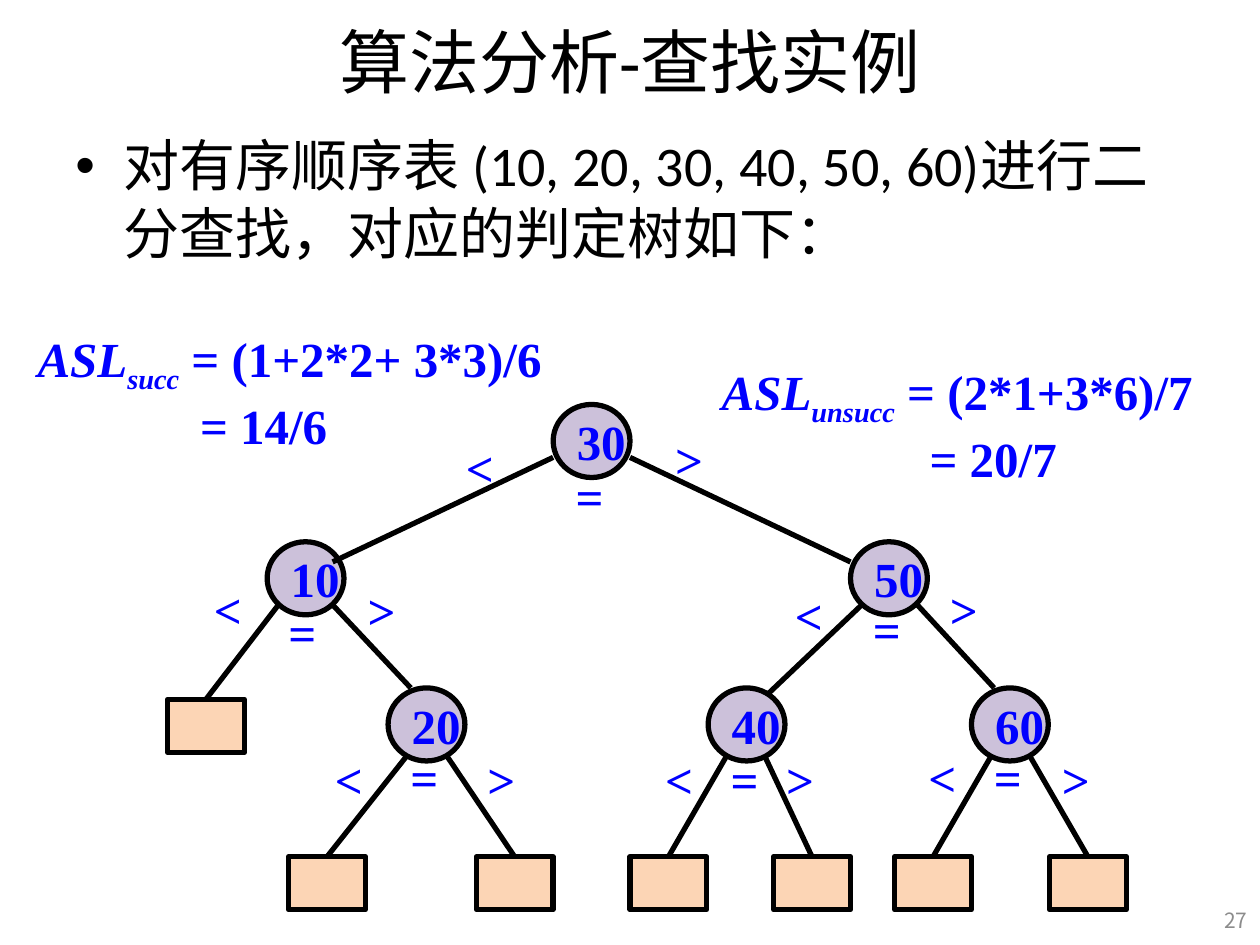
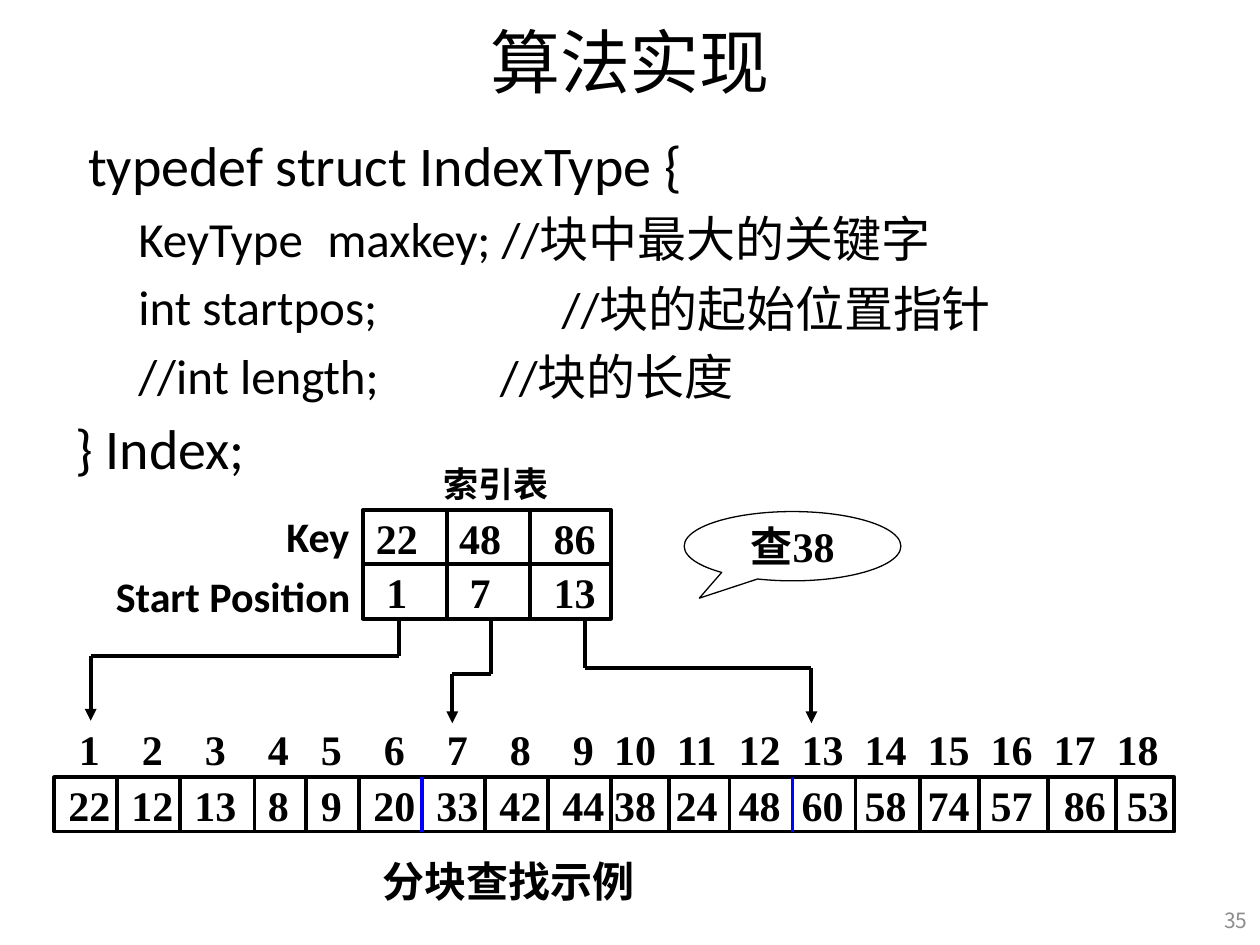
"""Build two lecture slides on binary search and indexed block search."""
from lxml import etree
from pptx import Presentation
from pptx.dml.color import RGBColor
from pptx.enum.shapes import MSO_CONNECTOR, MSO_SHAPE
from pptx.enum.text import MSO_ANCHOR, PP_ALIGN
from pptx.oxml.ns import qn
from pptx.util import Inches, Pt

BLACK, BLUE, GREY = "000000", "0000FF", "8C8C8C"
NODE_FILL, LEAF_FILL = "CCC1DA", "FCD5B5"
SANS, SERIF, CHINESE = "Calibri", "Times New Roman", "Noto Sans CJK SC"
color = RGBColor.from_string


def write(frame, text, size, font=SERIF, ink=BLACK, bold=True,
          align=PP_ALIGN.LEFT, anchor=MSO_ANCHOR.TOP, wrap=False):
    """Fill a text frame and format all of its runs."""
    frame.text = text
    frame.word_wrap = wrap
    frame.vertical_anchor = anchor
    for para in frame.paragraphs:
        para.alignment = align
        for span in para.runs:
            span.font.size = Pt(size)
            span.font.name = font
            span.font.bold = bold
            span.font.color.rgb = color(ink)
            east_asian = etree.SubElement(span.font._element, qn("a:ea"))
            east_asian.set("typeface", CHINESE)


def draw_line(page, start, end, width, ink=BLACK, arrow=False):
    """Draw a straight line, with an arrowhead at its end if asked."""
    line = page.shapes.add_connector(
        MSO_CONNECTOR.STRAIGHT, *map(Inches, start + end))
    line.line.color.rgb = color(ink)
    line.line.width = Pt(width)
    if arrow:
        etree.SubElement(line.line._get_or_add_ln(), qn("a:tailEnd"), type="triangle")
    etree.SubElement(line._element.spPr, qn("a:effectLst"))
    return line


deck = Presentation()
deck.slide_width, deck.slide_height = Inches(10), Inches(7.5)

pages = []
for title, number in (("算法分析-查找实例", "27"), ("算法实现", "35")):
    page = deck.slides.add_slide(deck.slide_layouts[6])
    box = page.shapes.add_textbox(Inches(0.5), Inches(-0.03), Inches(9), Inches(1.02))
    write(box.text_frame, title, 40, SANS, bold=False, align=PP_ALIGN.CENTER,
          anchor=MSO_ANCHOR.MIDDLE, wrap=True)
    box = page.shapes.add_textbox(Inches(9.57), Inches(7.1), Inches(0.43), Inches(0.4))
    write(box.text_frame, number, 12, CHINESE, GREY, False, PP_ALIGN.RIGHT,
          MSO_ANCHOR.MIDDLE)
    pages.append(page)
tree_page, index_page = pages

box = tree_page.shapes.add_textbox(Inches(0.5), Inches(0.99), Inches(9), Inches(6.38))
write(box.text_frame, "对有序顺序表 (10, 20, 30, 40, 50, 60)进行二分查找，对应的判定树如下：",
      32, SANS, bold=False, wrap=True)
properties = box.text_frame.paragraphs[0]._p.get_or_add_pPr()
properties.set("marL", str(Inches(0.38)))
properties.set("indent", str(Inches(-0.38)))
etree.SubElement(properties, qn("a:buFont"), typeface="Arial")
etree.SubElement(properties, qn("a:buChar"), char="•")

leaves = []
for left, top in ((1.33, 5.55), (2.29, 6.8), (3.78, 6.8), (5, 6.8),
                  (6.14, 6.8), (7.1, 6.8), (8.33, 6.8)):
    leaf = tree_page.shapes.add_shape(
        MSO_SHAPE.RECTANGLE, Inches(left), Inches(top), Inches(0.61), Inches(0.42))
    leaf.shadow.inherit = False
    leaf.fill.solid()
    leaf.fill.fore_color.rgb = color(LEAF_FILL)
    leaf.line.color.rgb = color(BLACK)
    leaf.line.width = Pt(3)
    leaves.append(leaf)

leaf_starts = ((2.21, 4.8), (3.26, 5.96), (3.52, 5.96), (5.79, 5.96),
               (6.05, 5.96), (7.89, 5.96), (8.15, 5.96))
for start, leaf in zip(leaf_starts, leaves):
    draw_line(tree_page, start, start, 3).end_connect(leaf, 0)

lower_branches = (((2.64, 4.8), (3.26, 5.46)), ((6.84, 4.8), (6.05, 5.55)),
                  ((7.28, 4.8), (7.89, 5.46)))
for start, end in lower_branches:
    draw_line(tree_page, start, end, 3)

nodes = {"30": (4.39, 3.21), "10": (2.12, 4.3), "50": (6.75, 4.3),
         "20": (3.08, 5.46), "40": (5.62, 5.46), "60": (7.71, 5.46)}
for key, (left, top) in nodes.items():
    node = tree_page.shapes.add_shape(
        MSO_SHAPE.OVAL, Inches(left), Inches(top), Inches(0.61), Inches(0.58))
    node.shadow.inherit = False
    node.fill.solid()
    node.fill.fore_color.rgb = color(NODE_FILL)
    node.line.color.rgb = color(BLACK)
    node.line.width = Pt(3)
    write(node.text_frame, key, 28, ink=BLUE, anchor=MSO_ANCHOR.MIDDLE)

for start, end in (((4.39, 3.63), (2.64, 4.46)), ((5, 3.63), (6.75, 4.46))):
    draw_line(tree_page, start, end, 3)

comparisons = {
    "=": ((4.47, 3.65), (2.19, 4.73), (6.83, 4.71), (3.16, 5.88), (5.7, 5.9), (7.79, 5.88)),
    "<": ((3.6, 3.42), (1.6, 4.55), (6.21, 4.6), (2.56, 5.9), (5.18, 5.9), (7.27, 5.88)),
    ">": ((5.26, 3.36), (2.82, 4.56), (7.44, 4.55), (3.77, 5.9), (6.14, 5.9), (8.33, 5.9)),
}
for sign, places in comparisons.items():
    for left, top in places:
        box = tree_page.shapes.add_textbox(
            Inches(left), Inches(top), Inches(0.44), Inches(0.57))
        write(box.text_frame, sign, 28, ink=BLUE)

formulas = ((0.2, 2.56, 4.46, "succ", " = (1+2*2+ 3*3)/6", "= 14/6", 1.29),
            (5.63, 2.82, 4.06, "unsucc", " = (2*1+3*6)/7", "= 20/7", 1.65))
for left, top, width, subscript, expression, result, indent in formulas:
    box = tree_page.shapes.add_textbox(
        Inches(left), Inches(top), Inches(width), Inches(1.03))
    frame = box.text_frame
    frame.word_wrap = True
    first, second = frame.paragraphs[0], frame.add_paragraph()
    second._p.get_or_add_pPr().set("marL", str(Inches(indent)))
    for para, text in ((first, "ASL"), (first, subscript), (first, expression),
                       (second, result)):
        span = para.add_run()
        span.text = text
        span.font.name = SERIF
        span.font.size = Pt(28)
        span.font.bold = True
        span.font.italic = text in ("ASL", subscript)
        span.font.color.rgb = color(BLUE)
        if text == subscript:
            span.font._element.set("baseline", "-25000")

code = (" typedef struct IndexType {", "KeyType\tmaxkey; //块中最大的关键字",
        "int startpos;", "//int length;", "} Index;")
box = index_page.shapes.add_textbox(Inches(0.5), Inches(0.99), Inches(9), Inches(6.38))
write(box.text_frame, "\n".join(code), 32, SANS, bold=False, wrap=True)
for para in box.text_frame.paragraphs[1:]:
    para.space_before = Pt(5.6)
for para in box.text_frame.paragraphs[1:4]:
    properties = para._p.get_or_add_pPr()
    properties.set("marL", "0")
    properties.set("indent", str(Inches(0.5)))
    tabs = etree.SubElement(properties, qn("a:tabLst"))
    etree.SubElement(tabs, qn("a:tab"), pos=str(Inches(2)), algn="l")
    for span in para.runs:
        span.font.size = Pt(28)

for comment, left, top in (("//块的起始位置指针", 4.36, 2.16), ("//块的长度", 3.87, 2.7)):
    box = index_page.shapes.add_textbox(Inches(left), Inches(top), Inches(4), Inches(0.57))
    write(box.text_frame, comment, 28, SANS, bold=False, wrap=True)

index_dividers = (3.55, 4.21)
block_dividers = (0.93, 1.43, 2.02, 2.43, 2.85, 3.35, 3.85, 4.35, 4.85,
                  5.31, 5.79, 6.29, 6.79, 7.3, 7.77, 8.32, 8.86)
block_starts = (3.35, 6.29)
for left, top, width, dividers in ((2.88, 4.05, 1.97, index_dividers),
                                   (2.88, 4.48, 1.97, index_dividers),
                                   (0.43, 6.17, 8.89, block_dividers)):
    strip = index_page.shapes.add_shape(
        MSO_SHAPE.RECTANGLE, Inches(left), Inches(top), Inches(width), Inches(0.43))
    strip.shadow.inherit = False
    strip.fill.background()
    strip.line.color.rgb = color(BLACK)
    strip.line.width = Pt(2.25)
    for divider in dividers:
        draw_line(index_page, (divider, top), (divider, top + 0.43), 2.25,
                  BLUE if divider in block_starts else BLACK)

index_centers = (3.15, 3.81, 4.56)
place_centers = (0.71, 1.21, 1.71, 2.21, 2.63, 3.13, 3.63, 4.13, 4.63,
                 5.04, 5.53, 6.03, 6.53, 7.03, 7.53, 8.03, 8.53, 9.03)
value_centers = place_centers[:16] + (8.61, 9.11)
number_rows = (
    (4.02, index_centers, "22 48 86"),
    (4.45, index_centers, "1 7 13"),
    (5.69, place_centers, " ".join(map(str, range(1, 19)))),
    (6.14, value_centers, "22 12 13 8 9 20 33 42 44 38 24 48 60 58 74 57 86 53"),
)
for top, centers, numbers in number_rows:
    for center, number in zip(centers, numbers.split()):
        box = index_page.shapes.add_textbox(
            Inches(center - 0.27), Inches(top), Inches(0.54), Inches(0.5))
        write(box.text_frame, number, 24, align=PP_ALIGN.CENTER, anchor=MSO_ANCHOR.MIDDLE)

pointers = ((3.17, 5.21, 0.72, 5.72), (3.9, 5.35, 3.59, 5.74), (4.64, 5.3, 6.44, 5.74))
for start, bend, target, tip in pointers:
    draw_line(index_page, (start, 4.92), (start, bend), 2.25)
    draw_line(index_page, (start, bend), (target, bend), 2.25)
    draw_line(index_page, (target, bend), (target, tip), 2.25, arrow=True)

labels = (("索引表", 3.42, 3.62, 1.04, 0.43, 20, SERIF, PP_ALIGN.LEFT),
          ("Key", 2.16, 4, 0.71, 0.5, 24, SANS, PP_ALIGN.RIGHT),
          ("Start Position", 0.79, 4.48, 2.09, 0.5, 24, SANS, PP_ALIGN.RIGHT),
          ("分块查找示例", 2.54, 6.77, 2.99, 0.44, 24, SERIF, PP_ALIGN.CENTER))
for text, left, top, width, height, size, font, align in labels:
    box = index_page.shapes.add_textbox(
        Inches(left), Inches(top), Inches(width), Inches(height))
    write(box.text_frame, text, size, font, align=align, anchor=MSO_ANCHOR.MIDDLE)

callout = index_page.shapes.add_shape(
    MSO_SHAPE.OVAL_CALLOUT, Inches(5.43), Inches(4.06), Inches(1.72), Inches(0.55))
callout.adjustments[0], callout.adjustments[1] = -0.43, 0.75
callout.shadow.inherit = False
callout.fill.background()
callout.line.color.rgb = color(BLACK)
callout.line.width = Pt(0.75)
write(callout.text_frame, "查38", 24, align=PP_ALIGN.CENTER, anchor=MSO_ANCHOR.MIDDLE)

deck.save("out.pptx")
